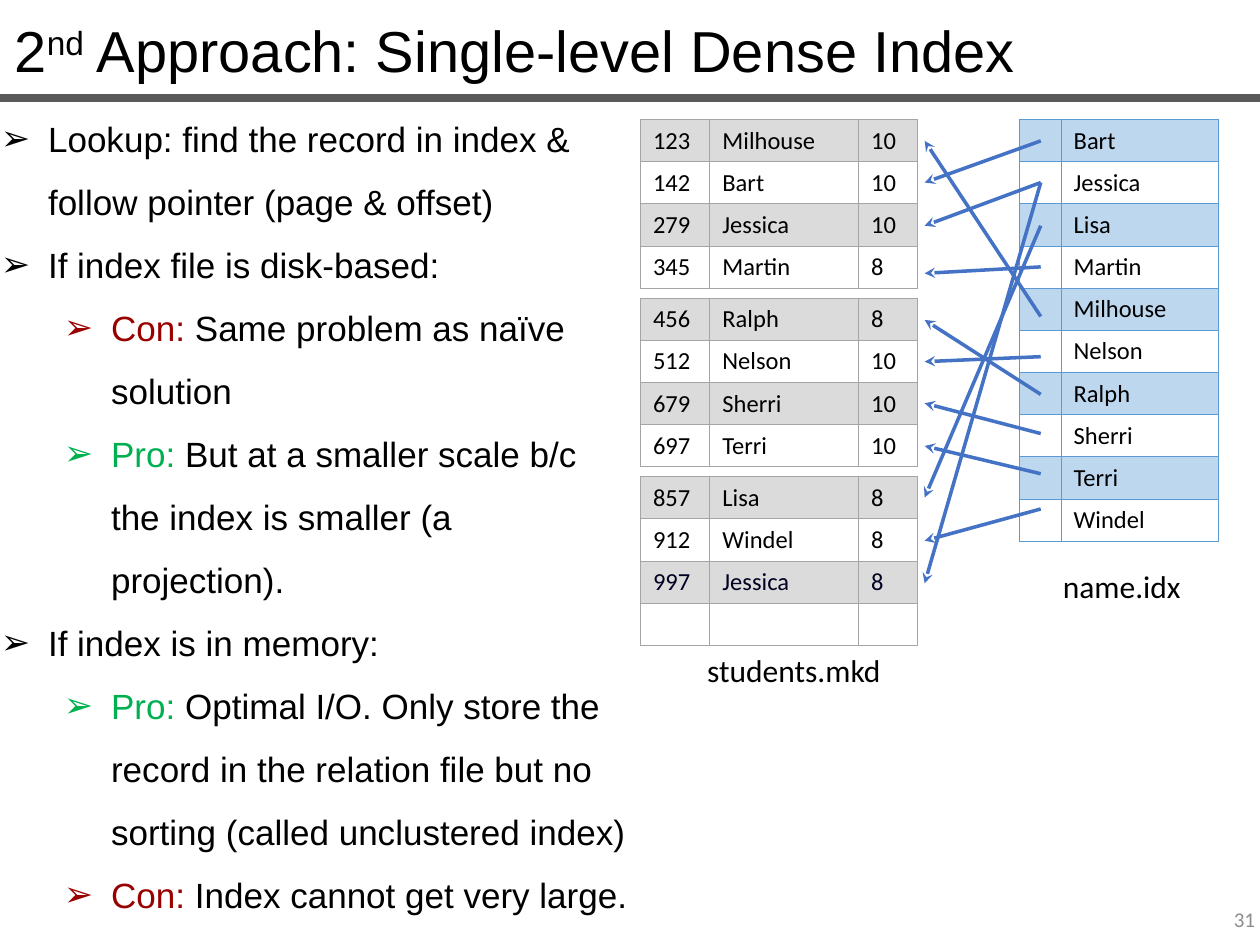
from lxml import etree
from pptx import Presentation
from pptx.dml.color import RGBColor
from pptx.enum.shapes import MSO_CONNECTOR
from pptx.enum.text import MSO_ANCHOR, PP_ALIGN
from pptx.oxml.ns import qn
from pptx.util import Cm, Pt

STRAIGHT = MSO_CONNECTOR.STRAIGHT
LEFT, CENTER, RIGHT = PP_ALIGN.LEFT, PP_ALIGN.CENTER, PP_ALIGN.RIGHT
TOP, MIDDLE = MSO_ANCHOR.TOP, MSO_ANCHOR.MIDDLE

BLACK, RULE_GRAY, NUMBER_GRAY = "000000", "595959", "8C8C8C"
RED, GREEN, NAVY = "990000", "00B050", "000022"
RECORD_GRAY, INDEX_BLUE, ARROW_BLUE = "A5A5A5", "5B9BD5", "4472C4"

ROW_HEIGHT = 0.85
PAGE_PITCH = 3.6
RECORD_COLUMNS = [1.4, 3.0, 1.19]
INDEX_COLUMNS = [0.84, 3.17]

BULLETS = [
    (0, [("Lookup: find the record in index & follow pointer (page & offset)", BLACK)]),
    (0, [("If index file is disk-based:", BLACK)]),
    (1, [("Con: ", RED), ("Same problem as naïve solution", BLACK)]),
    (1, [("Pro: ", GREEN),
         ("But at a smaller scale b/c the index is smaller (a projection).", BLACK)]),
    (0, [("If index is in memory:", BLACK)]),
    (1, [("Pro: ", GREEN),
         ("Optimal I/O. Only store the record in the relation file but no "
          "sorting (called unclustered index)", BLACK)]),
    (1, [("Con: ", RED), ("Index cannot get very large.", BLACK)]),
]

PAGES = [
    [("123", "Milhouse", "10"), ("142", "Bart", "10"),
     ("279", "Jessica", "10"), ("345", "Martin", "8")],
    [("456", "Ralph", "8"), ("512", "Nelson", "10"),
     ("679", "Sherri", "10"), ("697", "Terri", "10")],
    [("857", "Lisa", "8"), ("912", "Windel", "8"),
     ("997", "Jessica", "8"), ("", "", "")],
]

NAMES = ["Bart", "Jessica", "Lisa", "Martin", "Milhouse",
         "Nelson", "Ralph", "Sherri", "Terri", "Windel"]

# Index end and record end of each pointer, measured down from the table top
POINTERS = [(0.43, 1.27), (1.27, 2.14), (2.14, 7.62), (2.97, 3.1), (3.97, 0.43),
            (4.78, 4.88), (5.54, 4.04), (6.33, 5.72), (7.14, 6.58), (7.85, 8.49),
            (1.27, 9.35)]


def color(hex_string):
    return RGBColor.from_string(hex_string)


def add_run(paragraph, text, size, font="Arial", ink=BLACK):
    run = paragraph.add_run()
    run.text = text
    run.font.size = Pt(size)
    run.font.name = font
    run.font.color.rgb = color(ink)
    return run


def add_text_box(slide, left, top, width, height, align=LEFT, anchor=TOP):
    """Add an empty wrapping text box and return its text frame."""
    box = slide.shapes.add_textbox(Cm(left), Cm(top), Cm(width), Cm(height))
    frame = box.text_frame
    frame.word_wrap = True
    frame.vertical_anchor = anchor
    frame.paragraphs[0].alignment = align
    return frame


def add_line(slide, start, end, ink, width):
    line = slide.shapes.add_connector(STRAIGHT, *(Cm(value) for value in start + end))
    line.line.color.rgb = color(ink)
    line.line.width = Pt(width)
    etree.SubElement(line._element.spPr, qn("a:effectLst"))
    return line


def add_title(slide, left, top, width):
    paragraph = add_text_box(slide, left, top, width, 1.68).paragraphs[0]
    add_run(paragraph, "2", 33)
    ordinal = add_run(paragraph, "nd", 33)
    ordinal._r.get_or_add_rPr().set("baseline", "30000")
    add_run(paragraph, " Approach: Single-level Dense Index", 33)
    add_line(slide, (0, 1.98), (25.4, 1.98), RULE_GRAY, 4.5)


def add_label(slide, text, left, top, width, size=18, ink=BLACK, align=CENTER, anchor=TOP):
    frame = add_text_box(slide, left, top, width, 1.02, align, anchor)
    add_run(frame.paragraphs[0], text, size, "Calibri", ink)


def add_bullets(slide, left, top, width, height):
    frame = add_text_box(slide, left, top, width, height)
    for index, (level, runs) in enumerate(BULLETS):
        paragraph = frame.add_paragraph() if index else frame.paragraphs[0]
        paragraph.level = level
        paragraph.line_spacing = Pt(36)
        properties = paragraph._p.get_or_add_pPr()
        properties.set("marL", str(Cm(0.95 + 1.27 * level)))
        properties.set("indent", str(Cm(-0.95)))
        etree.SubElement(properties, qn("a:buFont"), typeface="Arial")
        etree.SubElement(properties, qn("a:buChar"), char="➢")
        for text, ink in runs:
            add_run(paragraph, text, 20, ink=ink)


def style_cell(cell, border, shaded):
    """Draw the four borders, and tint the cell when it is shaded."""
    properties = cell._tc.get_or_add_tcPr()
    for side in ("a:lnL", "a:lnR", "a:lnT", "a:lnB"):
        line = etree.SubElement(properties, qn(side), w=str(Pt(0.5)))
        line_fill = etree.SubElement(line, qn("a:solidFill"))
        etree.SubElement(line_fill, qn("a:srgbClr"), val=border)
    if shaded:
        cell.fill.solid()
        cell.fill.fore_color.rgb = color(border)
        tint = properties.find(qn("a:solidFill")).find(qn("a:srgbClr"))
        etree.SubElement(tint, qn("a:alpha"), val="40000")
    else:
        cell.fill.background()


def add_banded_table(slide, left, top, columns, rows, band):
    frame = slide.shapes.add_table(len(rows), len(columns), Cm(left), Cm(top),
                                   Cm(sum(columns)), Cm(ROW_HEIGHT * len(rows)))
    table = frame.table
    table.first_row = table.horz_banding = False
    for column, width in zip(table.columns, columns):
        column.width = Cm(width)
    for row_index, values in enumerate(rows):
        table.rows[row_index].height = Cm(ROW_HEIGHT)
        for column_index, text in enumerate(values):
            cell = table.cell(row_index, column_index)
            style_cell(cell, band, row_index % 2 == 0)
            paragraph = cell.text_frame.paragraphs[0]
            if text:
                ink = NAVY if values[0] == "997" else BLACK
                add_run(paragraph, text, 14, "Calibri", ink)
            else:
                paragraph._p.get_or_add_endParaRPr().set("sz", "1400")


def add_record_pages(slide, left, top):
    for index, records in enumerate(PAGES):
        add_banded_table(slide, left, top + PAGE_PITCH * index,
                         RECORD_COLUMNS, records, RECORD_GRAY)
    add_label(slide, "students.mkd", left + 0.91, top + 10.59, 4.37)


def add_name_index(slide, left, top):
    add_banded_table(slide, left, top, INDEX_COLUMNS,
                     [("", name) for name in NAMES], INDEX_BLUE)
    add_label(slide, "name.idx", left - 1.07, top + 8.89, 6.27)


def add_pointers(slide, left, top, width):
    for index_end, record_end in POINTERS:
        arrow = add_line(slide, (left + width, top + index_end),
                         (left, top + record_end), ARROW_BLUE, 2)
        etree.SubElement(arrow.line._get_or_add_ln(), qn("a:tailEnd"), type="stealth")


def main():
    presentation = Presentation()
    presentation.slide_width = Cm(25.4)
    presentation.slide_height = Cm(19.05)
    slide = presentation.slides.add_slide(presentation.slide_layouts[6])
    add_title(slide, 0.05, 0.18, 25.4)
    add_label(slide, "31", 19.63, 18.01, 5.92, 12, NUMBER_GRAY, RIGHT, MIDDLE)
    add_bullets(slide, -0.23, 1.83, 13.2, 15.49)
    add_record_pages(slide, 12.91, 2.41)
    add_name_index(slide, 20.55, 2.41)
    add_pointers(slide, 18.64, 2.41, 2.34)
    presentation.save("out.pptx")


if __name__ == "__main__":
    main()
